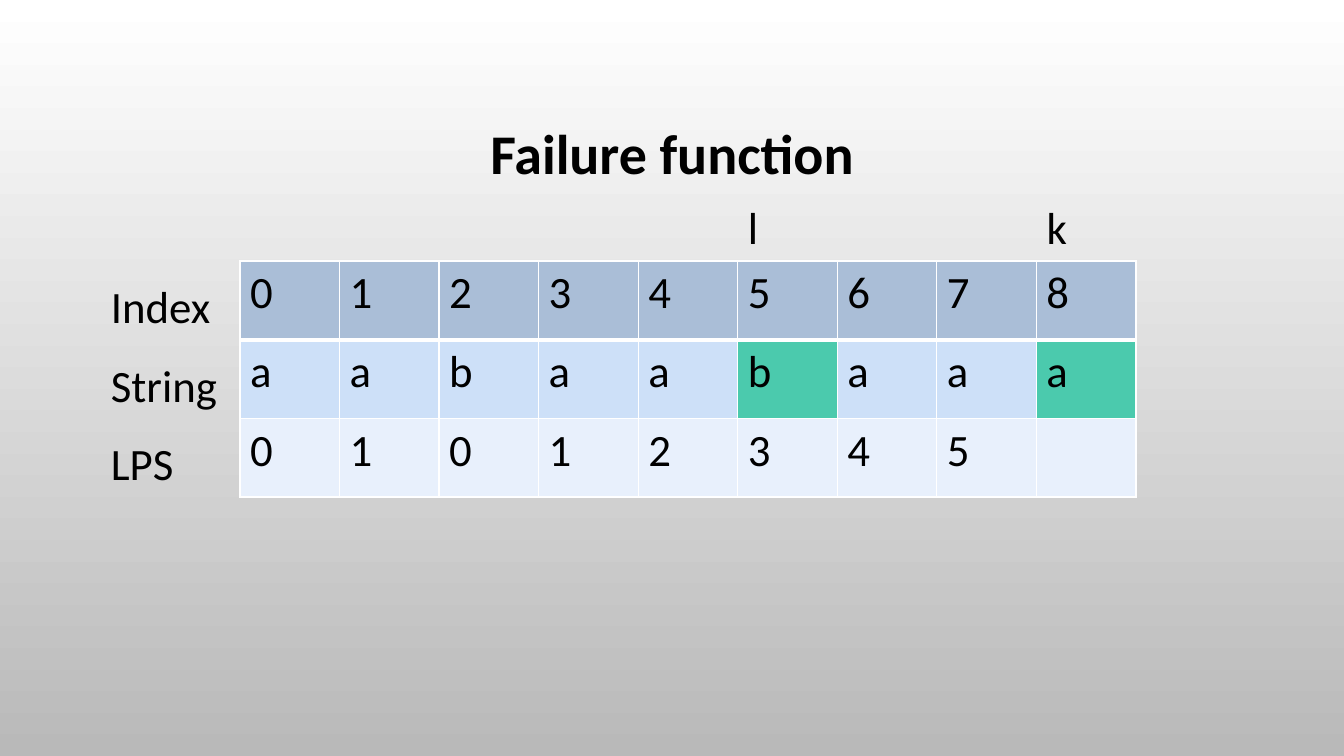
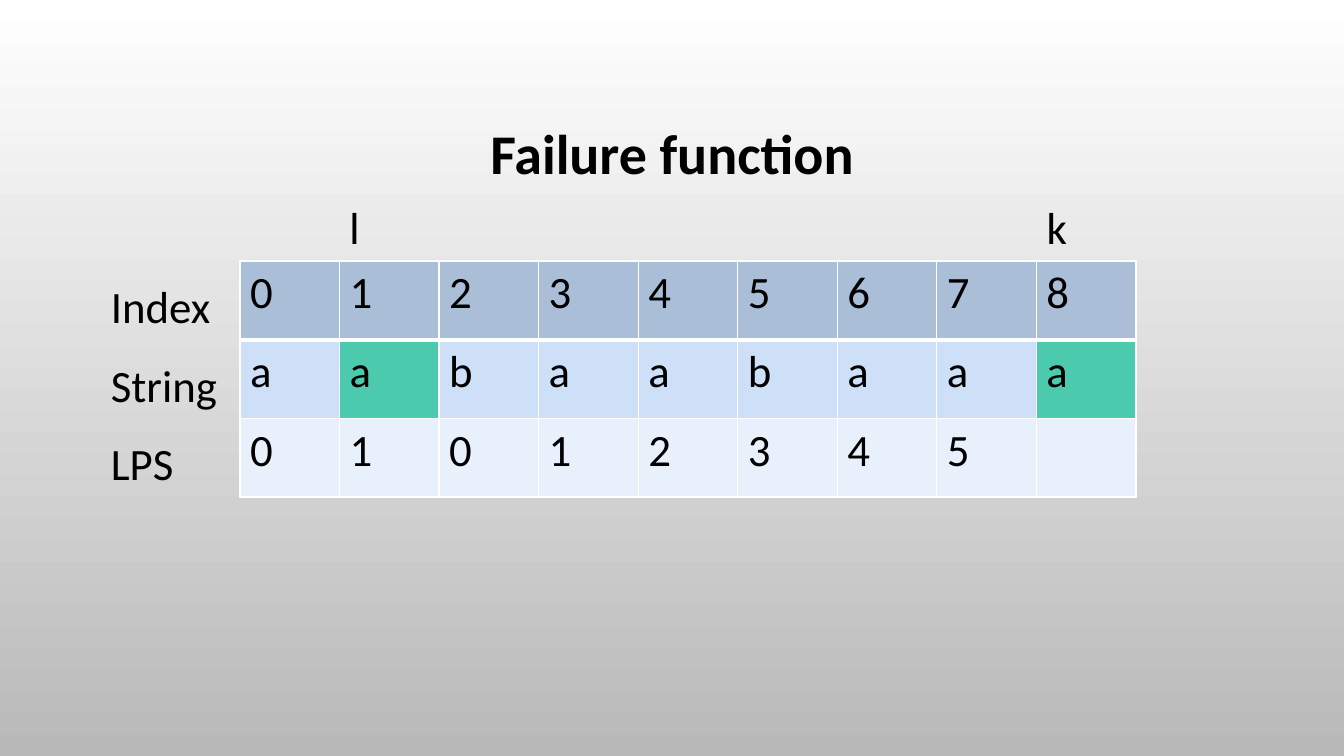
from lxml import etree
from pptx import Presentation
from pptx import util as u
from pptx.dml.color import RGBColor
from pptx.enum import text
from pptx.oxml import ns

BLACK = RGBColor(0x00, 0x00, 0x00)
WHITE = RGBColor(0xFF, 0xFF, 0xFF)
GRAY = RGBColor(0xB9, 0xB9, 0xB9)
HEADER = RGBColor(0xAA, 0xBE, 0xD7)
STRING_ROW = RGBColor(0xCD, 0xE0, 0xF8)
LPS_ROW = RGBColor(0xE8, 0xF0, 0xFC)
HIGHLIGHT = RGBColor(0x4B, 0xCA, 0xAD)
FONT = "Calibri"
TITLE = "Failure function"
LABELS = ("Index", "String", "LPS")
STRING = "aabaabaaa"
LPS = ("0", "1", "0", "1", "2", "3", "4", "5", "")
ROWS = (
    ([str(index) for index in range(len(STRING))], HEADER),
    (STRING, STRING_ROW),
    (LPS, LPS_ROW),
)

SLIDE_WIDTH, SLIDE_HEIGHT = u.Inches(13.33), u.Inches(7.5)
MARGIN = u.Inches(1)
BODY_WIDTH = SLIDE_WIDTH - 2 * MARGIN
TABLE_LEFT, TABLE_WIDTH = u.Inches(2.38), u.Inches(8.89)
LINE_PITCH = u.Inches(0.78)
POINTER_TOP = u.Inches(1.83)
TITLE_BOX = (MARGIN, u.Inches(0.68), BODY_WIDTH, u.Inches(1.75))
POINTER_BOX = (TABLE_LEFT, POINTER_TOP, TABLE_WIDTH, LINE_PITCH)
LABEL_BOX = (MARGIN, POINTER_TOP + LINE_PITCH, BODY_WIDTH, u.Inches(4.22))
TABLE_BOX = (TABLE_LEFT, u.Inches(2.59), TABLE_WIDTH, LINE_PITCH * len(ROWS))


def place(shape, box):
    shape.left, shape.top, shape.width, shape.height = box


def style(paragraph, size, bold=False):
    font = paragraph.font
    font.name, font.size, font.bold = FONT, u.Pt(size), bold
    font.color.rgb = BLACK


def set_up_master(presentation):
    fill = presentation.slide_master.background.fill
    fill.gradient()
    fill.gradient_angle = 270
    for stop, color in zip(fill.gradient_stops, (WHITE, GRAY)):
        stop.color.rgb = color
    layout = presentation.slide_layouts[1]
    for placeholder, box in zip(layout.placeholders, (TITLE_BOX, LABEL_BOX)):
        place(placeholder, box)
    return layout


def add_title(slide, box):
    title = slide.shapes.title
    place(title, box)
    frame = title.text_frame
    frame.text = TITLE
    frame.auto_size = text.MSO_AUTO_SIZE.NONE
    frame.vertical_anchor = text.MSO_ANCHOR.MIDDLE
    paragraph = frame.paragraphs[0]
    paragraph.alignment = text.PP_ALIGN.CENTER
    paragraph.line_spacing = 0.9
    style(paragraph, 40, bold=True)


def add_pointers(slide, box, pointers):
    left, top, width, height = box
    column_width = width // len(STRING)
    for name, column in pointers.items():
        pointer = slide.shapes.add_textbox(
            left + column * column_width, top, column_width, height
        )
        frame = pointer.text_frame
        frame.word_wrap = True
        frame.text = name
        paragraph = frame.paragraphs[0]
        paragraph.line_spacing = 1.2
        style(paragraph, 32)


def add_labels(slide, box):
    body = slide.placeholders[1]
    place(body, box)
    frame = body.text_frame
    frame.auto_size = text.MSO_AUTO_SIZE.NONE
    frame.text = "\n".join(LABELS)
    for number, paragraph in enumerate(frame.paragraphs):
        properties = paragraph._p.get_or_add_pPr()
        properties.set("marL", "0")
        properties.set("indent", "0")
        etree.SubElement(properties, ns.qn("a:buNone"))
        paragraph.line_spacing = 1.2
        paragraph.space_before = u.Pt(10 if number else 0)
        style(paragraph, 32)


def add_borders(cell, bottom):
    properties = cell._tc.get_or_add_tcPr()
    for side, width in (("L", 1), ("R", 1), ("T", 1), ("B", bottom)):
        line = etree.SubElement(properties, ns.qn(f"a:ln{side}"), w=str(u.Pt(width)))
        solid = etree.SubElement(line, ns.qn("a:solidFill"))
        etree.SubElement(solid, ns.qn("a:srgbClr"), val=str(WHITE))


def add_string_table(slide, box, highlighted):
    table = slide.shapes.add_table(len(ROWS), len(STRING), *box).table
    table.first_row = table.horz_banding = False
    for row, (values, color) in enumerate(ROWS):
        for column, value in enumerate(values):
            cell = table.cell(row, column)
            cell.text = value
            style(cell.text_frame.paragraphs[0], 32)
            add_borders(cell, 3 if row == 0 else 1)
            cell.fill.solid()
            marked = row == 1 and column in highlighted
            cell.fill.fore_color.rgb = HIGHLIGHT if marked else color


def add_step_slide(presentation, layout, pointers):
    slide = presentation.slides.add_slide(layout)
    add_title(slide, TITLE_BOX)
    add_pointers(slide, POINTER_BOX, pointers)
    add_labels(slide, LABEL_BOX)
    add_string_table(slide, TABLE_BOX, pointers.values())


def main():
    presentation = Presentation()
    presentation.slide_width, presentation.slide_height = SLIDE_WIDTH, SLIDE_HEIGHT
    layout = set_up_master(presentation)
    for pointers in ({"l": 5, "k": 8}, {"l": 1, "k": 8}):
        add_step_slide(presentation, layout, pointers)
    presentation.save("out.pptx")


if __name__ == "__main__":
    main()
